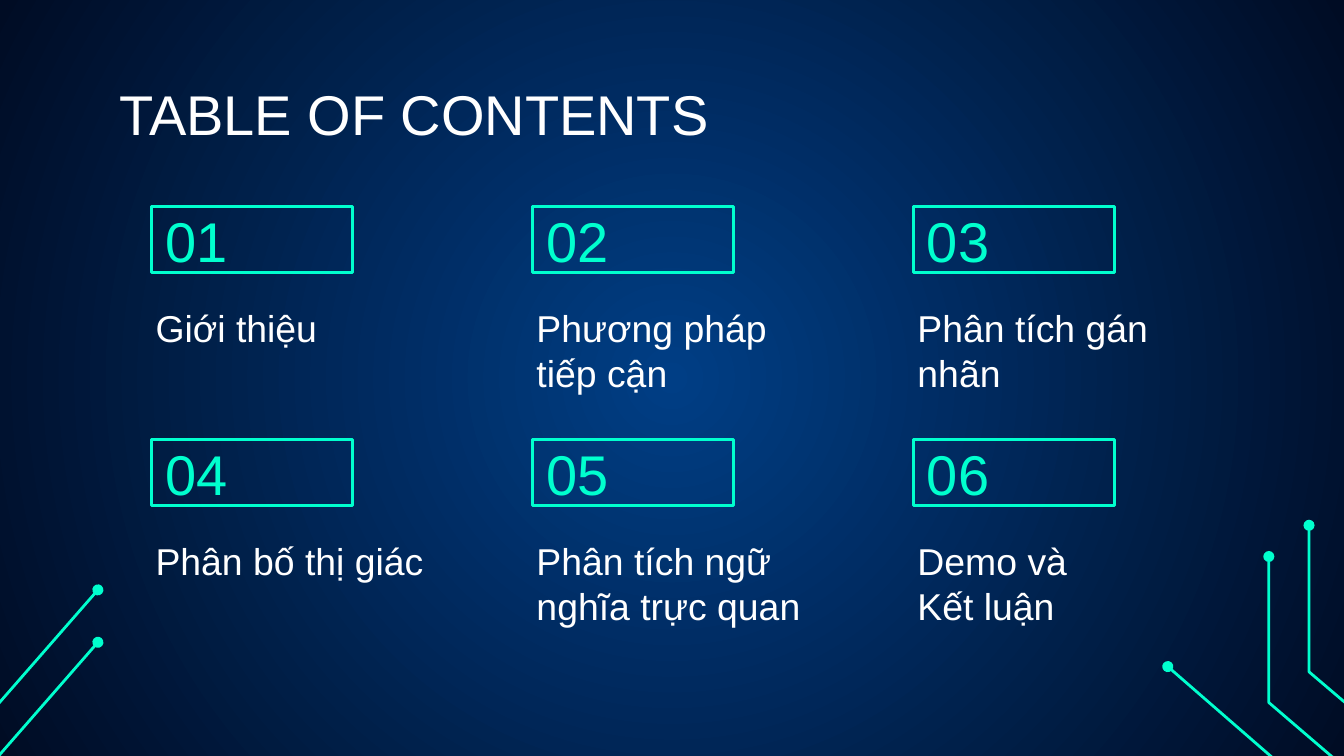
from lxml import etree
from pptx import Presentation
from pptx.dml.color import RGBColor
from pptx.enum.shapes import MSO_CONNECTOR, MSO_SHAPE
from pptx.enum.text import MSO_ANCHOR, PP_ALIGN
from pptx.oxml.ns import qn
from pptx.util import Cm, Pt

STRAIGHT = MSO_CONNECTOR.STRAIGHT
RECTANGLE = MSO_SHAPE.RECTANGLE
TOP = MSO_ANCHOR.TOP
MIDDLE = MSO_ANCHOR.MIDDLE
LEFT = PP_ALIGN.LEFT

FONT = "Arial"
WHITE = "FFFFFF"
MINT = "00FFCE"
CENTER_BLUE = "003E85"
EDGE_NAVY = "000C24"

COLUMNS = 3
COLUMN_STEP = 7.2
ROW_STEP = 4.4

TOPICS = [
    ["Giới thiệu"],
    ["Phương pháp tiếp cận"],
    ["Phân tích gán nhãn"],
    ["Phân bố thị giác"],
    ["Phân tích ngữ nghĩa trực quan"],
    ["Demo và", "Kết luận"],
]

CIRCUITS = [
    [(25.53, 14.61), (23.98, 13.28), (23.98, 10.52)],
    [(26.29, 14.02), (24.74, 12.7), (24.74, 9.93)],
    [(24.38, 14.61), (22.07, 12.6)],
    [(-0.15, 14.43), (1.85, 12.14)],
    [(-0.15, 13.44), (1.85, 11.15)],
]


def rgb(value):
    return RGBColor.from_string(value)


def paint_background(slide):
    fill = slide.background.fill
    fill.gradient()
    for stop, color, position in zip(
        fill.gradient_stops, (CENTER_BLUE, EDGE_NAVY), (0, 1)
    ):
        stop.color.rgb = rgb(color)
        stop.position = position
    gradient = slide.background._cSld.find(".//" + qn("a:gradFill"))
    gradient.remove(gradient.find(qn("a:lin")))
    circle = etree.SubElement(gradient, qn("a:path"), path="circle")
    etree.SubElement(
        circle, qn("a:fillToRect"), l="50000", t="50000", r="50000", b="50000"
    )


def style_line(line):
    line.color.rgb = rgb(MINT)
    line.width = Pt(1.5)


def write(shape, lines, size, color, anchor=TOP):
    frame = shape.text_frame
    frame.word_wrap = True
    frame.vertical_anchor = anchor
    frame.margin_left = frame.margin_right = Cm(0.25)
    frame.margin_top = frame.margin_bottom = Cm(0.25)
    frame.text = "\n".join(lines)
    for paragraph in frame.paragraphs:
        paragraph.alignment = LEFT
        paragraph.font.name = FONT
        paragraph.font.size = Pt(size)
        paragraph.font.color.rgb = rgb(color)


def add_circuit(slide, points):
    route = [(Cm(x), Cm(y)) for x, y in points]
    if len(route) == 2:
        circuit = slide.shapes.add_connector(STRAIGHT, *route[0], *route[1])
        style_line(circuit.line)
        etree.SubElement(circuit._element.spPr, qn("a:effectLst"))
    else:
        builder = slide.shapes.build_freeform(*route[0])
        builder.add_line_segments(route[1:], close=False)
        circuit = builder.convert_to_shape()
        circuit.fill.background()
        style_line(circuit.line)
        circuit.shadow.inherit = False
    outline = circuit.line._get_or_add_ln()
    etree.SubElement(outline, qn("a:tailEnd"), type="oval")


def add_title(slide, text):
    title = slide.shapes.title
    title.left, title.top = Cm(2), Cm(1.25)
    title.width, title.height = Cm(21.4), Cm(1.6)
    write(title, [text], 30, WHITE)


def add_topic(slide, index, lines):
    row, column = divmod(index, COLUMNS)
    across, down = column * COLUMN_STEP, row * ROW_STEP
    number = slide.shapes.add_shape(
        RECTANGLE, Cm(2.87 + across), Cm(3.91 + down), Cm(3.8), Cm(1.25)
    )
    number.fill.background()
    style_line(number.line)
    number.shadow.inherit = False
    write(number, [f"{index + 1:02}"], 30, MINT, MIDDLE)
    label = slide.shapes.add_textbox(
        Cm(2.69 + across), Cm(5.52 + down), Cm(5.6), Cm(2.3)
    )
    write(label, lines, 20, WHITE)


def main():
    deck = Presentation()
    deck.slide_width, deck.slide_height = Cm(25.4), Cm(14.29)
    slide = deck.slides.add_slide(deck.slide_layouts[5])
    paint_background(slide)
    for points in CIRCUITS:
        add_circuit(slide, points)
    add_title(slide, "TABLE OF CONTENTS")
    for index, lines in enumerate(TOPICS):
        add_topic(slide, index, lines)
    deck.save("out.pptx")


if __name__ == "__main__":
    main()
